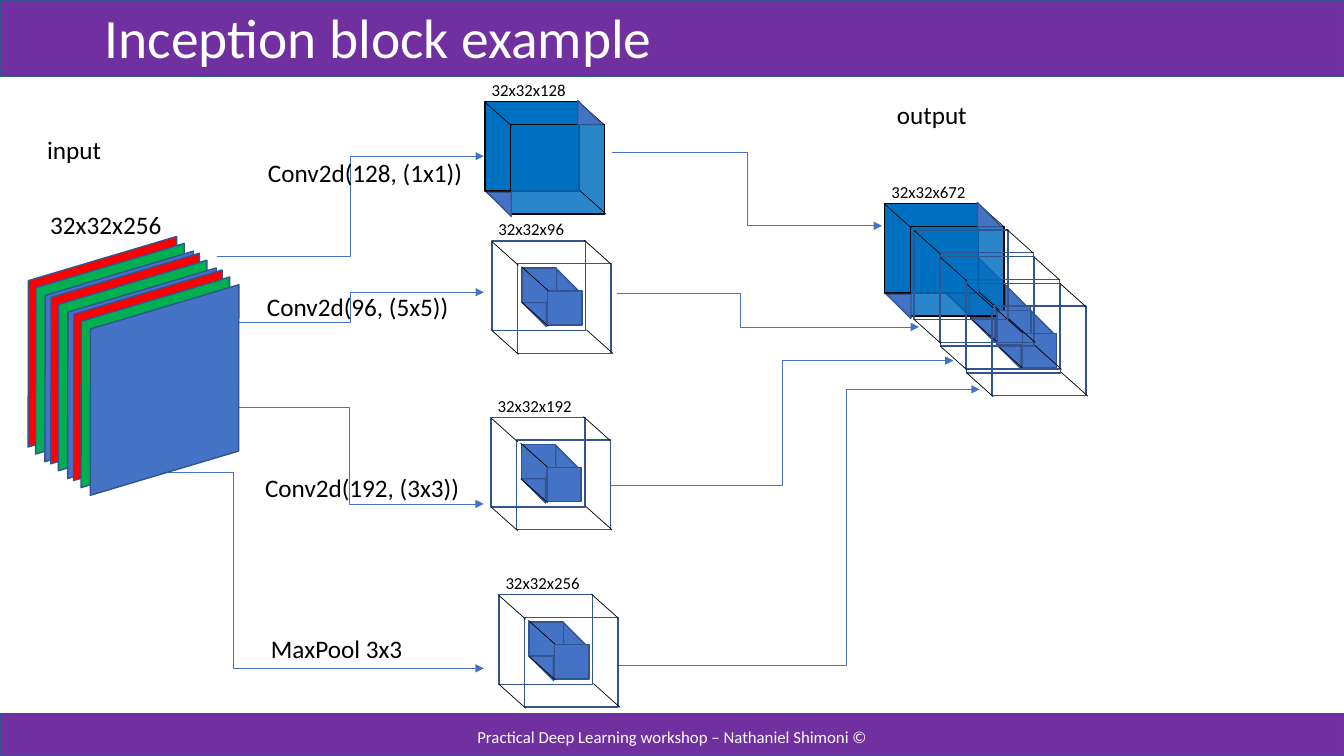
"""Build the slide that explains an inception block with feature-map cubes."""
from dataclasses import dataclass
from typing import Optional

from lxml.etree import SubElement
from pptx import Presentation
from pptx.dml.color import RGBColor
from pptx.enum.shapes import MSO_CONNECTOR as Link, MSO_SHAPE as Kind
from pptx.enum.text import MSO_ANCHOR as Anchor, MSO_AUTO_SIZE as Fit, PP_ALIGN as Align
from pptx.oxml.ns import qn
from pptx.util import Pt

PURPLE, BLUE, NAVY = "7030A0", "4472C4", "325491"
DEEP, RED, GREEN = "0070C0", "FF0000", "00B050"
BLACK, WHITE = "000000", "FFFFFF"
FACE = (67, 64)
DEPTH = (18.2, 16.3)
CORE = 24.5
CORNER = 17.3


@dataclass
class Label:
    text: str
    left: float
    top: float
    width: float
    height: float = 29
    size: float = 18
    wrap: bool = False


@dataclass
class Cube:
    size: str
    left: float
    top: float
    label_width: float = 68.4
    solid: bool = False


@dataclass
class Arrow:
    start: tuple[float, float]
    end: tuple[float, float]
    bend: float = 0.5


LABELS = [
    Label("input", 26.6, 92.2, 96.5, wrap=True),
    Label("output", 633.6, 67.7, 96.5, wrap=True),
    Label("32x32x256", 28.8, 146.2, 96.5, wrap=True),
    Label("Conv2d(128, (1x1))", 184.3, 108.7, 154.8),
    Label("Conv2d(96, (5x5))", 183.6, 204.5, 145.4),
    Label("Conv2d(192, (3x3))", 182.2, 334.1, 154.8),
    Label("MaxPool 3x3", 186.5, 448.6, 139.7, wrap=True),
]
BRANCHES = [
    Cube("32x32x128", 346.5, 72.5, solid=True),
    Cube("32x32x96", 351.4, 172.1, 61.9),
    Cube("32x32x192", 350.8, 298.1),
    Cube("32x32x256", 356.4, 424.8),
]
OUTPUT = Cube("32x32x672", 632, 145.4, solid=True)
STACK = [(653 + 18.75 * step, 164.2 + 19.1 * step) for step in range(3)]
ARROWS = [
    Arrow((154.8, 182.9), (345.6, 111.6)),
    Arrow((154.8, 230.4), (345.6, 208.8)),
    Arrow((153.4, 290.9), (345.6, 360)),
    Arrow((119.5, 337.5), (345.6, 477.4), 0.21),
    Arrow((437, 108.5), (630, 161.3)),
    Arrow((440.6, 209.5), (656.4, 233.5), 0.41),
    Arrow((436.3, 346.5), (681.1, 257.6)),
    Arrow((442.1, 475.2), (699.8, 278.2), 0.63),
]

deck = Presentation()
deck.slide_width, deck.slide_height = Pt(960), Pt(540)
page = deck.slides.add_slide(deck.slide_layouts[5])


def color(code: str) -> RGBColor:
    return RGBColor.from_string(code)


def add_figure(kind: Kind, left: float, top: float, width: float, height: float,
               fill: Optional[str], line: str = NAVY, turn: float = 0):
    figure = page.shapes.add_shape(kind, Pt(left), Pt(top), Pt(width), Pt(height))
    figure.shadow.inherit = False
    figure.rotation = turn
    if fill:
        figure.fill.solid()
        figure.fill.fore_color.rgb = color(fill)
    else:
        figure.fill.background()
    figure.line.color.rgb = color(line)
    figure.line.width = Pt(1)
    return figure


def add_line(link: Link, start: tuple[float, float], end: tuple[float, float], code: str):
    line = page.shapes.add_connector(link, *map(Pt, start + end))
    line.line.color.rgb = color(code)
    line.line.width = Pt(0.5)
    SubElement(line.element.spPr, qn("a:effectLst"))
    return line


def add_arrow(arrow: Arrow) -> None:
    shape = add_line(Link.ELBOW, arrow.start, arrow.end, BLUE).element.spPr
    SubElement(shape.find(qn("a:ln")), qn("a:tailEnd"), type="triangle")
    values = shape.find(qn("a:prstGeom")).get_or_add_avLst()
    SubElement(values, qn("a:gd"), name="adj1", fmla=f"val {round(arrow.bend * 100000)}")


def write(box, text: str, size: float, code: str):
    para = box.text_frame.paragraphs[0]
    span = para.add_run()
    span.text = text
    span.font.name, span.font.size = "Calibri", Pt(size)
    span.font.color.rgb = color(code)
    return para


def add_label(label: Label, code: str = BLACK):
    box = page.shapes.add_textbox(Pt(label.left), Pt(label.top), Pt(label.width), Pt(label.height))
    box.text_frame.word_wrap = label.wrap
    box.text_frame.auto_size = Fit.SHAPE_TO_FIT_TEXT
    return box, write(box, label.text, label.size, code)


def add_edges(left: float, top: float, starts: list[tuple[float, float]]) -> None:
    for across, down in starts:
        x, y = left + across, top + down
        add_line(Link.STRAIGHT, (x, y), (x + 19, y + 17), BLACK)


def add_corners(left: float, top: float, low: tuple[float, float], high: tuple[float, float]) -> None:
    for (across, down), turn in ((low, 180), (high, 0)):
        add_figure(Kind.RIGHT_TRIANGLE, left + across, top + down, CORNER, CORNER, BLUE, turn=turn)


def add_frame(left: float, top: float, solid: bool = False) -> None:
    fill, line = (DEEP, BLACK) if solid else (None, NAVY)
    add_figure(Kind.RECTANGLE, left, top, *FACE, fill, line)
    front = add_figure(Kind.RECTANGLE, left + DEPTH[0], top + DEPTH[1], *FACE, fill, line)
    if solid:
        shade = front.element.spPr.find(qn("a:solidFill"))[0]
        SubElement(shade, qn("a:alpha"), val="84000")
    add_edges(left, top, [(0, 0.5), (0, 64), (66, -0.5), (67.5, 63.5)])
    if solid:
        add_corners(left, top, (1.4, 64.8), (66.2, -0.7))


def add_core(frame_left: float, frame_top: float) -> None:
    left, top = frame_left + 21.6, frame_top + 19.4
    add_corners(left, top, (0, CORE), (CORE, 0.5))
    for step in range(2):
        add_figure(Kind.RECTANGLE, left + DEPTH[0] * step, top + DEPTH[1] * step, CORE, CORE, BLUE)
    add_edges(left, top, [(-0.5, -1), (-0.3, CORE)])


def add_cube(cube: Cube) -> None:
    add_frame(cube.left, cube.top, cube.solid)
    if not cube.solid:
        add_core(cube.left, cube.top)
    add_label(Label(cube.size, cube.left - 2.4, cube.top - 19.3, cube.label_width, 21.6, 12))


def main() -> None:
    title = page.shapes.title
    title.left, title.top, title.width, title.height = map(Pt, (67.7, 11.5, 826.6, 35.3))
    title.text_frame.vertical_anchor = Anchor.MIDDLE
    title.text_frame.auto_size = Fit.NONE
    heading = write(title, "Inception block example", 39.6, WHITE)
    heading.alignment, heading.line_spacing = Align.LEFT, 0.9
    for top, height in ((509.8, 30.2), (0, 54.7)):
        bar = add_figure(Kind.RECTANGLE, 0, top, 960, height, PURPLE)
        title.element.addprevious(bar.element)
    footer, credit = add_label(Label("Practical Deep Learning workshop – Nathaniel Shimoni ©",
                                     318.2, 517, 324, 18.7, 12, True), WHITE)
    footer.text_frame.auto_size = Fit.NONE
    footer.text_frame.vertical_anchor = Anchor.MIDDLE
    credit.alignment = Align.CENTER

    for arrow in ARROWS:
        add_arrow(arrow)
    for group in range(3):
        for fill, across, down in ((RED, 0, 0), (GREEN, 5.4, 5), (BLUE, 12, 10.5)):
            sheet = add_figure(Kind.PARALLELOGRAM, 0.8 + 16.2 * group + across,
                               187.2 + 12 * group + down, 144.7, 113.8, fill, turn=163.4)
            sheet.adjustments[0] = 0.3
    for cube in BRANCHES:
        add_cube(cube)

    first, middle, last = STACK
    add_core(*first)
    add_core(*middle)
    add_cube(OUTPUT)
    add_frame(*last)
    add_core(*last)
    add_frame(*middle)
    add_frame(*first)
    for label in LABELS:
        add_label(label)
    deck.save("out.pptx")


if __name__ == "__main__":
    main()
